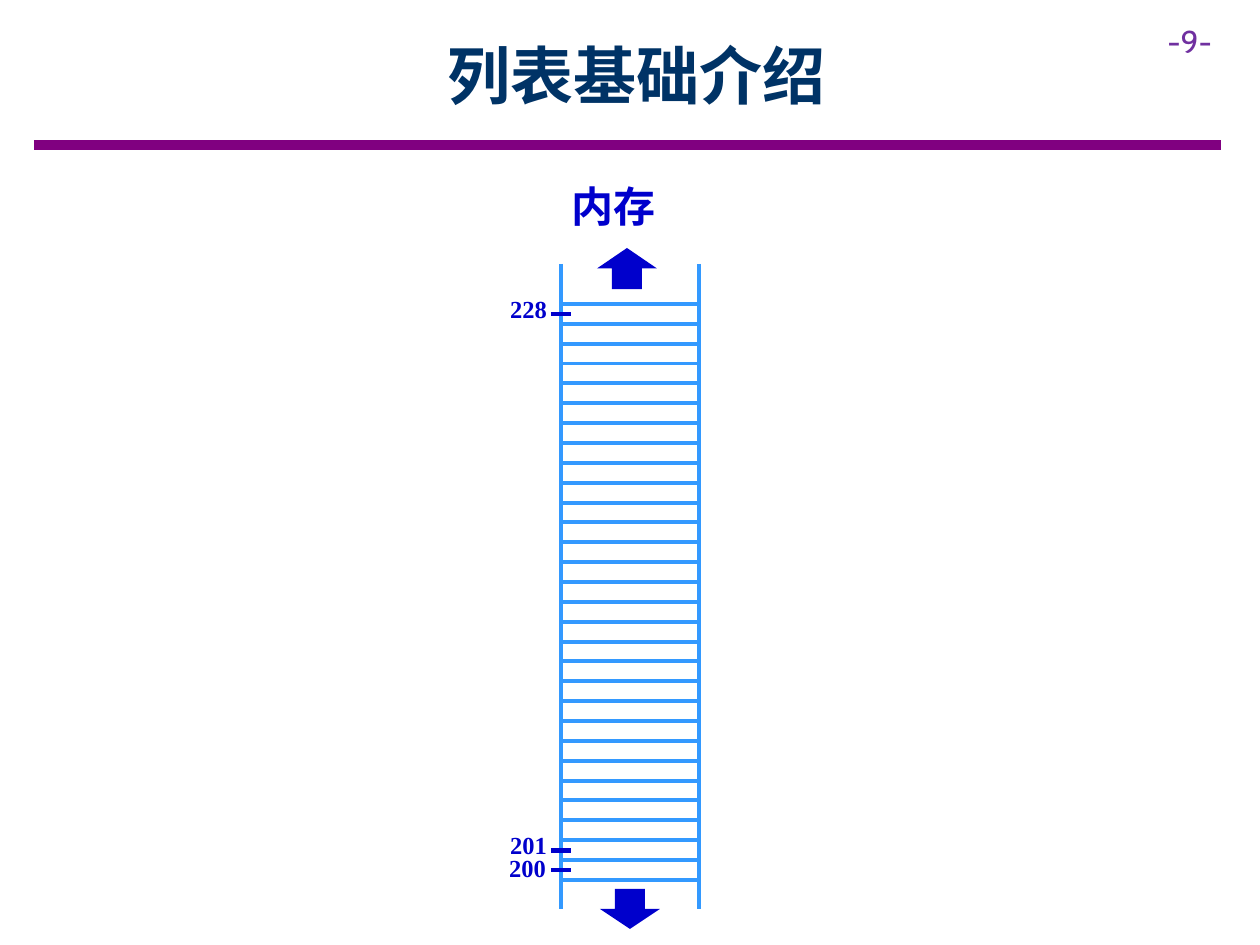
from lxml.etree import SubElement
from pptx import Presentation
from pptx.dml.color import RGBColor
from pptx.enum.shapes import MSO_CONNECTOR, MSO_SHAPE
from pptx.enum.text import MSO_ANCHOR, PP_ALIGN
from pptx.oxml.ns import qn
from pptx.util import Pt

PX = 914400 / 126
NAVY = RGBColor(0x00, 0x33, 0x66)
BLUE = RGBColor(0x00, 0x00, 0xCC)
SKY = RGBColor(0x33, 0x99, 0xFF)
PLUM = RGBColor(0x80, 0x00, 0x80)
VIOLET = RGBColor(0x70, 0x30, 0xA0)

HAN = "Noto Sans CJK SC"
TITLE = {"name": HAN, "size": Pt(36), "bold": True}
HEAD = {"name": HAN, "size": Pt(24), "bold": True}
LABEL = {"name": "Times New Roman", "size": Pt(14), "bold": True}
PAGE = {"name": "Cabin", "size": Pt(18)}

# Memory column: edges, cell count and the address of the lowest cell
LEFT, RIGHT, TOP, BOTTOM = 561, 699, 304, 880
COUNT, BASE = 29, 200


def emu(*vals):
    return [round(v * PX) for v in vals]


def write(shape, text, style, color, align=PP_ALIGN.LEFT):
    frame = shape.text_frame
    frame.vertical_anchor = MSO_ANCHOR.MIDDLE
    para = frame.paragraphs[0]
    para.alignment = align
    run = para.add_run()
    run.text = text
    for key, val in style.items():
        setattr(run.font, key, val)
    run.font.color.rgb = color
    # East Asian glyphs take their face from a:ea
    SubElement(run.font._element, qn("a:ea"), typeface=style["name"])


def add_text(slide, box, text, style, color, align=PP_ALIGN.LEFT):
    shape = slide.shapes.add_textbox(*emu(*box))
    shape.text_frame.word_wrap = False
    write(shape, text, style, color, align)


def add_line(slide, ends, color, width):
    line = slide.shapes.add_connector(MSO_CONNECTOR.STRAIGHT, *emu(*ends))
    line.line.color.rgb = color
    line.line.width = Pt(width)
    SubElement(line._element.spPr, qn("a:effectLst"))


def add_shape(slide, kind, box, fill=None, edge=None):
    shape = slide.shapes.add_shape(kind, *emu(*box))
    shape.shadow.inherit = False
    if fill is None:
        shape.fill.background()
    else:
        shape.fill.solid()
        shape.fill.fore_color.rgb = fill
    if edge is None:
        shape.line.fill.background()
    else:
        shape.line.color.rgb = edge
        shape.line.width = Pt(2.25)


def add_cells(slide):
    step = (BOTTOM - TOP) / COUNT
    for i in range(COUNT):
        box = (LEFT, TOP + i * step, RIGHT - LEFT, step)
        add_shape(slide, MSO_SHAPE.RECTANGLE, box, edge=SKY)
    for x in (RIGHT, LEFT):
        add_line(slide, (x, 264, x, 909), SKY, 2.25)


def add_mark(slide, addr, left, top):
    step = (BOTTOM - TOP) / COUNT
    y = BOTTOM - (addr - BASE + 0.5) * step
    add_line(slide, (551, y, 571, y), BLUE, 2.75)
    add_text(slide, (left, top, 63, 30), str(addr), LABEL, BLUE,
             PP_ALIGN.CENTER)


def main():
    deck = Presentation()
    deck.slide_width, deck.slide_height = emu(1260, 945)
    slide = deck.slides.add_slide(deck.slide_layouts[5])

    # Title, rule and page number
    title = slide.shapes.title
    title.left, title.top, title.width, title.height = emu(113, 11, 1047, 126)
    write(title, "列表基础介绍", TITLE, NAVY, PP_ALIGN.CENTER)
    add_line(slide, (34, 145, 1221, 145), PLUM, 6)
    add_text(slide, (1155, 16, 105, 50), "-9-", PAGE, VIOLET)

    # Memory column, open at both ends
    add_text(slide, (559, 175, 122, 62), "内存", HEAD, BLUE)
    add_cells(slide)
    add_shape(slide, MSO_SHAPE.UP_ARROW, (597, 248, 60, 41), BLUE)
    add_shape(slide, MSO_SHAPE.DOWN_ARROW, (600, 889, 60, 40), BLUE)

    # Addresses
    for addr, left, top in ((200, 496, 853), (201, 497, 830), (228, 497, 294)):
        add_mark(slide, addr, left, top)

    deck.save("out.pptx")


if __name__ == "__main__":
    main()
